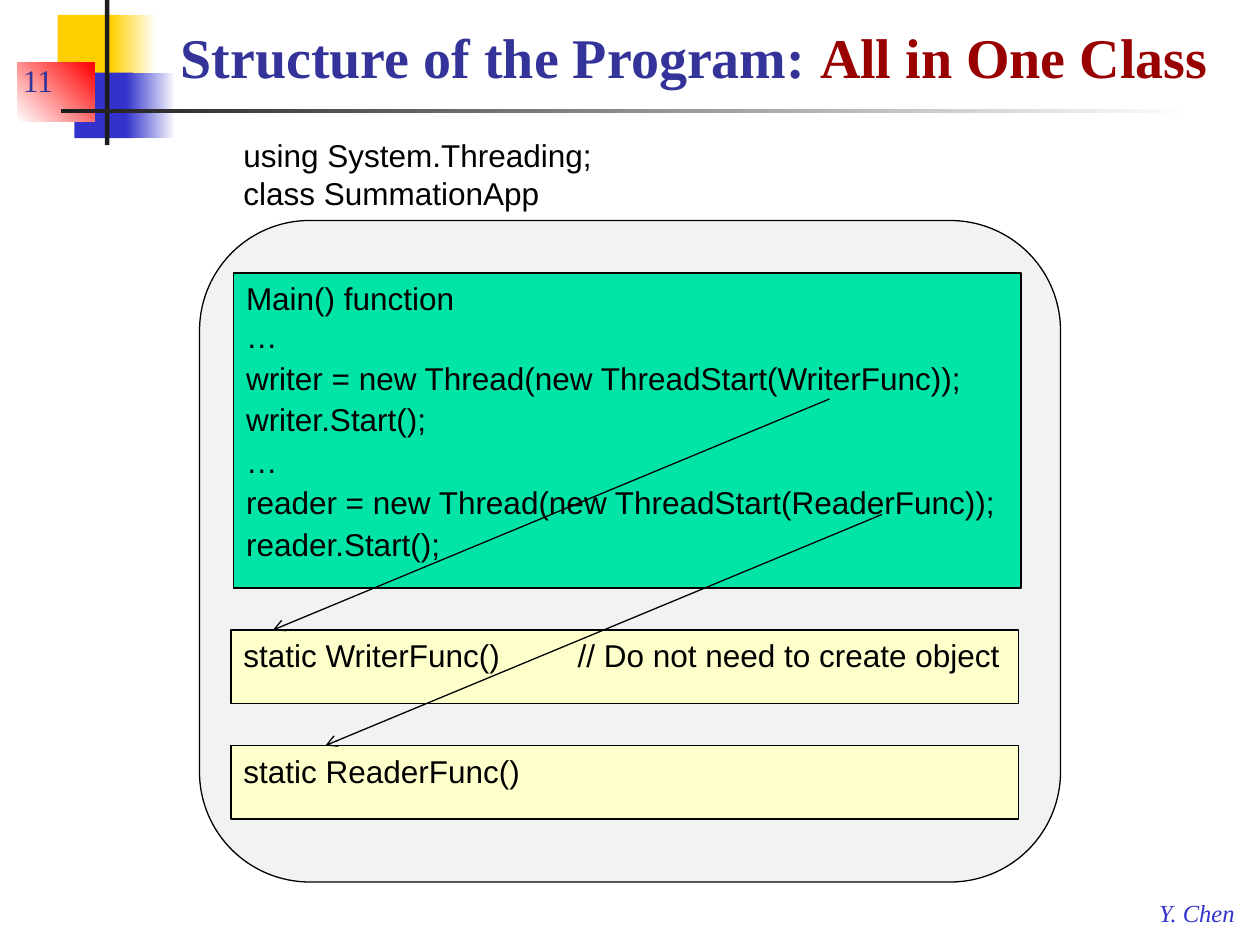
import pptx
import pptx.dml.color
import pptx.enum.shapes
import pptx.enum.text
import pptx.oxml
import pptx.oxml.ns
import pptx.util
from lxml import etree

Pt = pptx.util.Pt
RGB = pptx.dml.color.RGBColor
SHAPE = pptx.enum.shapes.MSO_SHAPE
ANCHOR = pptx.enum.text.MSO_ANCHOR
AUTO_SIZE = pptx.enum.text.MSO_AUTO_SIZE
qn = pptx.oxml.ns.qn

BLACK = RGB(0x00, 0x00, 0x00)
CHARCOAL = RGB(0x1C, 0x1C, 0x1C)
WHITE = RGB(0xFF, 0xFF, 0xFF)
YELLOW = RGB(0xFF, 0xCF, 0x01)
BLUE = RGB(0x33, 0x33, 0xCC)
RED = RGB(0xFF, 0x00, 0x00)
NAVY = RGB(0x33, 0x33, 0x99)
MAROON = RGB(0x99, 0x00, 0x00)
GREY = RGB(0xF2, 0xF2, 0xF2)
GREEN = RGB(0x00, 0xE4, 0xA8)
CREAM = RGB(0xFF, 0xFF, 0xCC)

SERIF = "Times New Roman"
SANS = "Arial"


class ClassDiagram:
    """Draw the parts of a program structure diagram on one slide."""

    def __init__(self, slide):
        self.slide = slide
        self.code_size = 18
        self.line_width = Pt(0.75)

    def style(self, run, size, font, color, bold=False, italic=False):
        run.font.size = Pt(size)
        run.font.name = font
        run.font.color.rgb = color
        run.font.bold = bold
        run.font.italic = italic

    def title(self, box, parts):
        heading = self.slide.shapes.title
        heading.left, heading.top, heading.width, heading.height = map(Pt, box)
        frame = heading.text_frame
        frame.auto_size = AUTO_SIZE.NONE
        frame.word_wrap = True
        frame.vertical_anchor = ANCHOR.BOTTOM
        line = frame.paragraphs[0]
        line.alignment = pptx.enum.text.PP_ALIGN.LEFT
        for words, color in parts:
            run = line.add_run()
            run.text = words
            self.style(run, 32, SERIF, color, bold=True)
        self.slide.shapes.element.append(heading.element)

    def block(self, box, color, kind=SHAPE.RECTANGLE, outlined=False):
        block = self.slide.shapes.add_shape(kind, *map(Pt, box))
        block.shadow.inherit = False
        block.fill.solid()
        block.fill.fore_color.rgb = color
        if outlined:
            block.line.color.rgb = BLACK
            block.line.width = self.line_width
        else:
            block.line.fill.background()
        return block

    def fade(self, box, start, end, angle=0):
        fill = self.block(box, start).fill
        fill.gradient()
        fill.gradient_angle = angle
        for stop, color, position in zip(fill.gradient_stops, (start, end), (0, 1)):
            stop.color.rgb = color
            stop.position = position

    def code_lines(self, frame, lines, spacings):
        frame.text = "\n".join(lines)
        for paragraph, spacing in zip(frame.paragraphs, spacings):
            paragraph.alignment = pptx.enum.text.PP_ALIGN.LEFT
            paragraph.line_spacing = spacing
            for run in paragraph.runs:
                self.style(run, self.code_size, SANS, BLACK)

    def code(self, box, color, lines, spacings=(1.0,), tab=None):
        frame = self.block(box, color, outlined=True).text_frame
        frame.word_wrap = True
        frame.vertical_anchor = ANCHOR.TOP
        self.code_lines(frame, lines, spacings)
        if tab:
            properties = frame.paragraphs[0]._p.get_or_add_pPr()
            stops = etree.SubElement(properties, qn("a:tabLst"))
            etree.SubElement(stops, qn("a:tab"), pos=str(Pt(tab)), algn="l")

    def text_box(self, box, wrap=False):
        frame = self.slide.shapes.add_textbox(*map(Pt, box)).text_frame
        frame.word_wrap = wrap
        frame.auto_size = AUTO_SIZE.NONE if wrap else AUTO_SIZE.SHAPE_TO_FIT_TEXT
        return frame

    def label(self, box, words, size, color, italic=False, wrap=False):
        frame = self.text_box(box, wrap)
        frame.vertical_anchor = ANCHOR.BOTTOM if wrap else ANCHOR.TOP
        frame.text = words
        self.style(frame.paragraphs[0].runs[0], size, SERIF, color, italic=italic)

    def arrow(self, start, end):
        link = self.slide.shapes.add_connector(
            pptx.enum.shapes.MSO_CONNECTOR.STRAIGHT, *map(Pt, start + end))
        link.line.color.rgb = BLACK
        link.line.width = self.line_width
        properties = link.element.spPr
        etree.SubElement(properties.find(qn("a:ln")), qn("a:tailEnd"), type="arrow")
        etree.SubElement(properties, qn("a:effectLst"))


def main():
    deck = pptx.Presentation()
    deck.slide_width, deck.slide_height = Pt(720), Pt(540)
    diagram = ClassDiagram(deck.slides.add_slide(deck.slide_layouts[5]))

    diagram.block((33, 8.5, 35, 37.5), YELLOW)
    diagram.fade((63.5, 8.5, 25.5, 37.5), YELLOW, WHITE)
    diagram.block((42.5, 41.5, 33.5, 37.5), BLUE)
    diagram.fade((72, 41.5, 28.5, 37.5), BLUE, WHITE)
    diagram.fade((10, 36, 44, 33.5), WHITE, RED, angle=45)
    diagram.block((60, 0, 2.5, 83), CHARCOAL)
    diagram.fade((34.8, 62.2, 648, 2.3), CHARCOAL, WHITE)

    diagram.label((655.3, 509.8, 59, 24), "Y. Chen", 14, BLUE, italic=True)
    diagram.title((96, 6, 618, 49), [("Structure of the Program: ", NAVY),
                                     ("All in One Class", MAROON)])
    diagram.label((6, 24, 150, 36), "11", 18, NAVY, wrap=True)

    diagram.block((114, 126, 492, 378), GREY, SHAPE.ROUNDED_RECTANGLE, outlined=True)
    declaration = diagram.text_box((132, 72, 215, 53))
    diagram.code_lines(declaration, ["using System.Threading;", "class SummationApp"],
                       (1.1, 1.0))

    main_lines = ["Main() function", "…"]
    for role in ("Writer", "Reader"):
        thread = role.lower()
        main_lines += [f"{thread} = new Thread(new ThreadStart({role}Func));",
                       f"{thread}.Start();", "…"]
    main_lines.pop()
    diagram.code((133.5, 156, 450, 180), GREEN, main_lines, [1.0] * 2 + [1.1] * 5)

    diagram.code((132, 360, 450, 42), CREAM,
                 ["static WriterFunc()\t// Do not need to create object"], tab=191)
    diagram.code((132, 426, 450, 42), CREAM, ["static ReaderFunc()"])
    diagram.arrow((474, 228), (156, 360))
    diagram.arrow((504, 294), (186, 426))

    deck.save("out.pptx")


if __name__ == "__main__":
    main()
